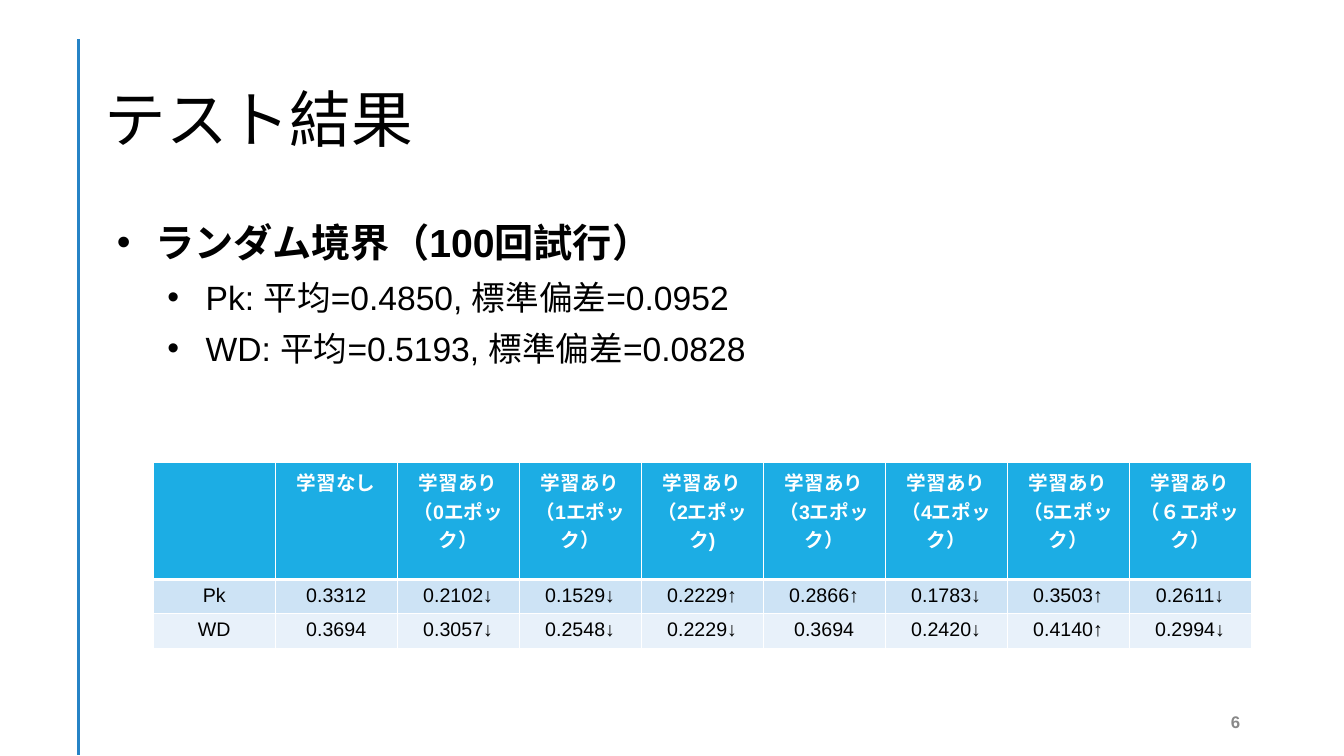
from lxml.etree import SubElement
from pptx import Presentation
from pptx.dml.color import RGBColor
from pptx.enum.shapes import MSO_CONNECTOR as Connector
from pptx.enum.text import MSO_ANCHOR as Anchor, PP_ALIGN as Align
from pptx.oxml.ns import qn
from pptx.util import Pt

PX = 9144
COLORS = {
    "rule": "2683C6", "text": "000000", "number": "888888", "white": "FFFFFF",
    "header": "1CADE4", "odd": "CDE3F5", "even": "E8F1FA",
}
HEADINGS = ["", "学習なし"] + [
    f"学習あり\n（{epoch}エポック{close}" for epoch, close in zip("012345６", "）））））））".replace("）", "）"))
]
HEADINGS[4] = "学習あり\n（2エポック)"
RESULTS = [
    HEADINGS,
    ["Pk", "0.3312", "0.2102↓", "0.1529↓", "0.2229↑", "0.2866↑", "0.1783↓", "0.3503↑", "0.2611↓"],
    ["WD", "0.3694", "0.3057↓", "0.2548↓", "0.2229↓", "0.3694", "0.2420↓", "0.4140↑", "0.2994↓"],
]


def color(name):
    """Return the named colour."""
    return RGBColor.from_string(COLORS[name])


def set_bullet(paragraph, left):
    """Give a paragraph a round bullet with a hanging indent."""
    properties = paragraph._p.get_or_add_pPr()
    properties.set("marL", str(left * PX))
    properties.set("indent", str(-38 * PX))
    bullet_color = SubElement(properties, qn("a:buClr"))
    SubElement(bullet_color, qn("a:srgbClr"), val=COLORS["text"])
    SubElement(properties, qn("a:buFont"), typeface="Arial")
    SubElement(properties, qn("a:buChar"), char="•")


def write(paragraph, text, size, fill="text", bold=False, align=Align.LEFT,
          spacing=None, before=0, bullet=None):
    """Write formatted text into a paragraph."""
    if bullet:
        set_bullet(paragraph, bullet)
    paragraph.alignment = align
    paragraph.line_spacing = spacing
    paragraph.space_before = Pt(before)
    run = paragraph.add_run()
    run.text = text
    run.font.name = "Arial"
    run.font.size = Pt(size)
    run.font.bold = bold
    run.font.color.rgb = color(fill)


def add_box(slide, left, top, width, height, anchor=Anchor.MIDDLE):
    """Add a wrapping text box and return its text frame."""
    box = slide.shapes.add_textbox(left * PX, top * PX, width * PX, height * PX)
    frame = box.text_frame
    frame.word_wrap = True
    frame.vertical_anchor = anchor
    frame.margin_left = frame.margin_right = frame.margin_top = 12 * PX
    frame.margin_bottom = 10 * PX
    return frame


def add_rule(slide):
    """Add the vertical rule at the left edge."""
    rule = slide.shapes.add_connector(Connector.STRAIGHT, 78 * PX, 39 * PX, 78 * PX, 749 * PX)
    rule.line.color.rgb = color("rule")
    rule.line.width = Pt(2)
    SubElement(rule._element.spPr, qn("a:effectLst"))


def add_bullets(slide):
    """Add the random boundary scores as a two-level list."""
    frame = add_box(slide, 92, 200, 1150, 476, Anchor.TOP)
    write(frame.paragraphs[0], "ランダム境界（100回試行）", 28, bold=True, spacing=1.1, bullet=50)
    for score in ("Pk: 平均=0.4850, 標準偏差=0.0952", "WD: 平均=0.5193, 標準偏差=0.0828"):
        write(frame.add_paragraph(), score, 24, spacing=1.1, before=5, bullet=100)


def set_borders(cell, top, bottom):
    """Draw white cell borders with the given top and bottom widths."""
    properties = cell._tc.get_or_add_tcPr()
    for side, width in (("L", 1), ("R", 1), ("T", top), ("B", bottom)):
        line = SubElement(properties, qn(f"a:ln{side}"), w=str(Pt(width)))
        solid = SubElement(line, qn("a:solidFill"))
        SubElement(solid, qn("a:srgbClr"), val=COLORS["white"])


def add_results(slide):
    """Add the table of scores by training epoch."""
    heights = (116, 34, 34)
    columns = len(HEADINGS)
    frame = slide.shapes.add_table(
        len(RESULTS), columns, 152 * PX, 459 * PX, 121 * columns * PX, sum(heights) * PX)
    table = frame.table
    for column in table.columns:
        column.width = 121 * PX
    fills = ("header", "odd", "even")
    for index, (values, height, fill) in enumerate(zip(RESULTS, heights, fills)):
        table.rows[index].height = height * PX
        header = index == 0
        for cell, value in zip(table.rows[index].cells, values):
            set_borders(cell, 3 if index == 1 else 1, 3 if header else 1)
            cell.fill.solid()
            cell.fill.fore_color.rgb = color(fill)
            for number, line in enumerate(value.split("\n")):
                paragraph = cell.text_frame.add_paragraph() if number else cell.text_frame.paragraphs[0]
                write(paragraph, line, 14, "white" if header else "text", header, Align.CENTER)


def main():
    """Build the slide and save it."""
    presentation = Presentation()
    presentation.slide_width = 1333 * PX
    presentation.slide_height = 750 * PX
    slide = presentation.slides.add_slide(presentation.slide_layouts[6])
    add_rule(slide)
    title = add_box(slide, 92, 40, 1150, 145)
    write(title.paragraphs[0], "テスト結果", 44, spacing=1.1)
    add_bullets(slide)
    number = add_box(slide, 942, 695, 300, 40)
    write(number.paragraphs[0], "6", 12, "number", True, Align.RIGHT)
    add_results(slide)
    presentation.save("out.pptx")


if __name__ == "__main__":
    main()
